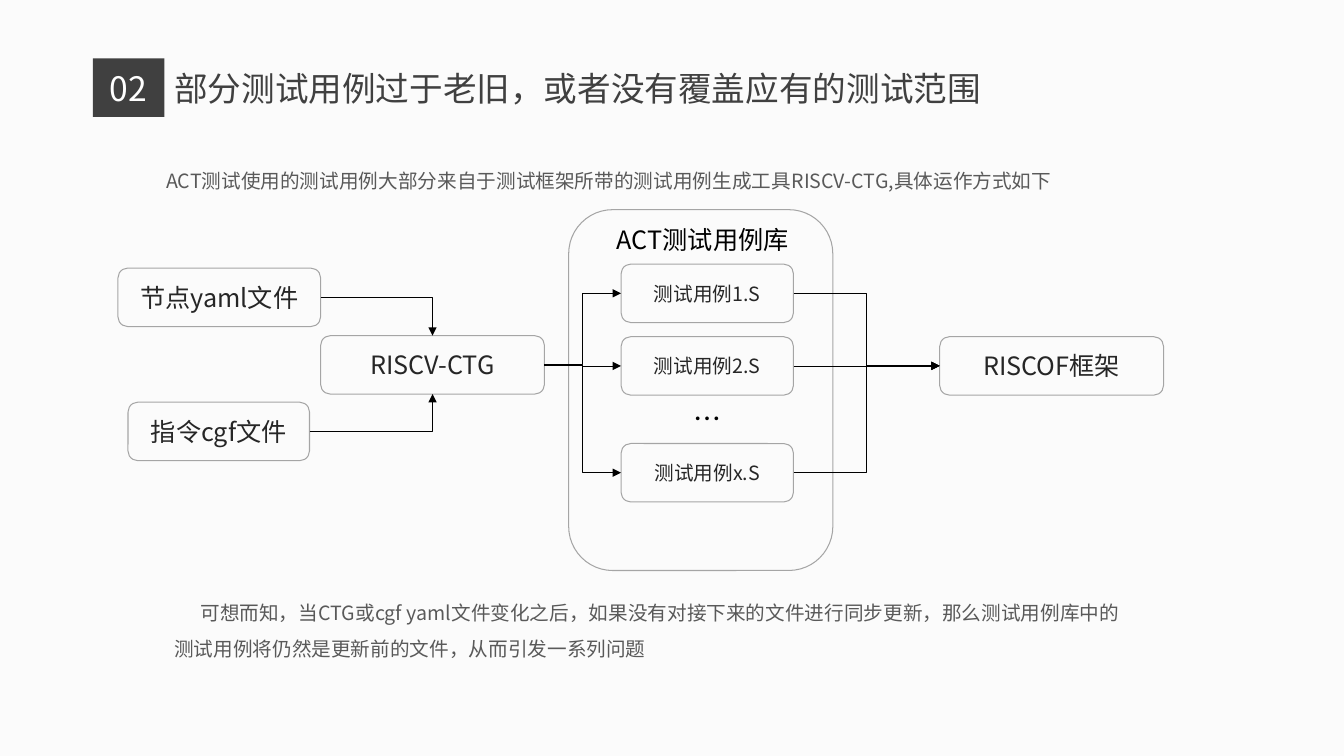
from dataclasses import dataclass

from lxml import etree
from pptx import Presentation
from pptx.dml.color import RGBColor
from pptx.enum.shapes import MSO_CONNECTOR, MSO_SHAPE
from pptx.enum.text import MSO_ANCHOR, PP_ALIGN
from pptx.oxml.ns import qn
from pptx.util import Inches, Pt

RECTANGLE = MSO_SHAPE.RECTANGLE
ROUNDED = MSO_SHAPE.ROUNDED_RECTANGLE
ELBOW = MSO_CONNECTOR.ELBOW
MIDDLE = MSO_ANCHOR.MIDDLE
LEFT_ALIGN = PP_ALIGN.LEFT
CENTER = PP_ALIGN.CENTER
TOP, LEFT, BOTTOM, RIGHT = range(4)

FONT = "Noto Sans CJK SC"
PAPER = RGBColor(0xFB, 0xFB, 0xFB)
DARK = RGBColor(0x40, 0x40, 0x40)
BODY = RGBColor(0x59, 0x59, 0x59)
INK = RGBColor(0x26, 0x26, 0x26)
OUTLINE = RGBColor(0xA5, 0xA5, 0xA5)
BLACK = RGBColor(0, 0, 0)
WHITE = RGBColor(0xFF, 0xFF, 0xFF)

NODE_HEIGHT = 0.58
CASE_LEFT, CASE_WIDTH = 6.16, 1.71


@dataclass(frozen=True)
class Node:
    name: str
    text: str
    left: float
    top: float
    width: float
    size: int = 18


@dataclass(frozen=True)
class Label:
    text: str
    left: float
    top: float
    width: float
    height: float
    size: int
    color: RGBColor
    spacing: float = 1.0
    indent: float = 0.0


@dataclass(frozen=True)
class Link:
    source: str
    target: str
    target_side: int = LEFT


NODES = [
    Node("yaml", "节点yaml文件", 1.17, 2.66, 2.01),
    Node("cgf", "指令cgf文件", 1.27, 3.99, 1.8),
    Node("generator", "RISCV-CTG", 3.18, 3.33, 2.22),
    Node("case 1", "测试用例1.S", CASE_LEFT, 2.62, CASE_WIDTH, 14),
    Node("case 2", "测试用例2.S", CASE_LEFT, 3.34, CASE_WIDTH, 14),
    Node("case x", "测试用例x.S", CASE_LEFT, 4.4, CASE_WIDTH, 14),
    Node("framework", "RISCOF框架", 9.32, 3.34, 2.22),
]

LABELS = [
    Label("部分测试用例过于老旧，或者没有覆盖应有的测试范围",
          1.63, 0.62, 8.59, 0.5, 24, DARK),
    Label("ACT测试使用的测试用例大部分来自于测试框架所带的测试用例生成工具RISCV-CTG,具体运作方式如下",
          1.55, 1.51, 9.77, 0.41, 14, BODY, 1.5),
    Label("可想而知，当CTG或cgf yaml文件变化之后，如果没有对接下来的文件进行同步更新，"
          "那么测试用例库中的测试用例将仍然是更新前的文件，从而引发一系列问题",
          1.63, 5.8, 9.77, 0.77, 14, BODY, 1.5, 0.26),
    Label("…", 6.78, 3.77, 0.77, 0.55, 20, BLACK, 1.5),
    Label("ACT测试用例库", 6.02, 2.18, 2.4, 0.4, 18, BLACK),
]

CASES = ["case 1", "case 2", "case x"]
LINKS = [
    Link("yaml", "generator", TOP),
    Link("cgf", "generator", BOTTOM),
    *[Link("generator", case) for case in CASES],
    *[Link(case, "framework") for case in CASES],
]


def write_text(shape, text: str, size: int, color: RGBColor, align=LEFT_ALIGN):
    """Fill the shape with one paragraph and return it."""
    shape.text_frame.word_wrap = True
    para = shape.text_frame.paragraphs[0]
    para.text = text
    para.alignment = align
    para.font.size = Pt(size)
    para.font.name = FONT
    para.font.color.rgb = color
    # East Asian characters take their typeface from a separate element
    latin = para._p.pPr.find(qn("a:defRPr")).find(qn("a:latin"))
    east_asian = etree.Element(qn("a:ea"), typeface=FONT)
    latin.addnext(east_asian)
    return para


def add_label(page, label: Label) -> None:
    box = page.shapes.add_textbox(Inches(label.left), Inches(label.top),
                                  Inches(label.width), Inches(label.height))
    para = write_text(box, label.text, label.size, label.color)
    para.line_spacing = label.spacing
    if label.indent:
        para._p.pPr.set("indent", str(Inches(label.indent)))


def add_outline(page, left: float, top: float, width: float, height: float):
    box = page.shapes.add_shape(ROUNDED, Inches(left), Inches(top),
                                Inches(width), Inches(height))
    box.shadow.inherit = False
    box.fill.background()
    box.line.color.rgb = OUTLINE
    box.line.width = Pt(0.75)
    return box


def add_node(page, node: Node):
    box = add_outline(page, node.left, node.top, node.width, NODE_HEIGHT)
    box.text_frame.vertical_anchor = MIDDLE
    write_text(box, node.text, node.size, INK, CENTER)
    return box


def add_link(page, boxes: dict, link: Link) -> None:
    connector = page.shapes.add_connector(ELBOW, 0, 0, 0, 0)
    connector.begin_connect(boxes[link.source], RIGHT)
    connector.end_connect(boxes[link.target], link.target_side)
    connector.line.color.rgb = BLACK
    connector.line.width = Pt(0.5)
    properties = connector._element.spPr
    if link.target_side != LEFT:  # a single bend into the top or bottom
        properties.find(qn("a:prstGeom")).set("prst", "bentConnector2")
    etree.SubElement(properties.find(qn("a:ln")), qn("a:tailEnd"), type="triangle")
    etree.SubElement(properties, qn("a:effectLst"))


def add_badge(page) -> None:
    badge = page.shapes.add_shape(RECTANGLE, Inches(0.92), Inches(0.58),
                                  Inches(0.71), Inches(0.58))
    badge.shadow.inherit = False
    badge.fill.solid()
    badge.fill.fore_color.rgb = DARK
    badge.line.fill.background()
    badge.text_frame.vertical_anchor = MIDDLE
    write_text(badge, "02", 24, WHITE, CENTER)


def main() -> None:
    deck = Presentation()
    deck.slide_width, deck.slide_height = Inches(13.33), Inches(7.5)
    page = deck.slides.add_slide(deck.slide_layouts[6])
    page.background.fill.solid()
    page.background.fill.fore_color.rgb = PAPER

    # Section number, title and explanations
    add_badge(page)
    for label in LABELS:
        add_label(page, label)

    # Flow diagram: test case library, nodes, arrows
    add_outline(page, 5.64, 2.08, 2.62, 3.58)
    boxes = {node.name: add_node(page, node) for node in NODES}
    for link in LINKS:
        add_link(page, boxes, link)

    deck.save("out.pptx")


if __name__ == "__main__":
    main()
